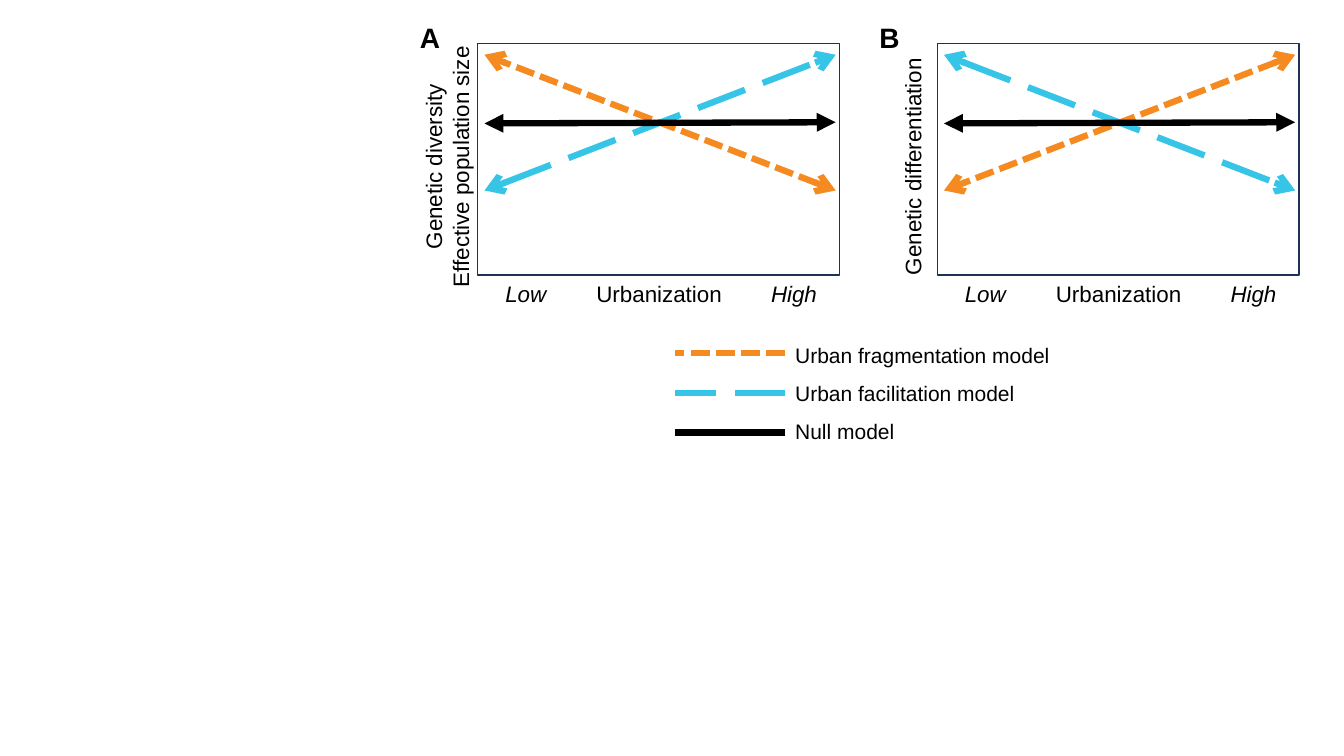
from dataclasses import dataclass

from pptx import Presentation
from pptx.dml.color import RGBColor
from pptx.enum.dml import MSO_LINE
from pptx.enum.shapes import MSO_CONNECTOR, MSO_SHAPE
from pptx.enum.text import PP_ALIGN
from pptx.oxml.ns import qn
from pptx.util import Cm, Pt
from lxml.etree import SubElement


@dataclass(frozen=True)
class Theme:
    font: str = "Arial"
    text: str = "000000"
    frame: str = "1E3256"
    letter_size: float = 20
    label_size: float = 16
    legend_size: float = 15
    frame_width: float = 1
    model_width: float = 4.5


THEME = Theme()

# name: (label, colour, dash, arrowhead), in drawing order
MODELS = {
    "facilitation": ("Urban facilitation model", "37C5E7", MSO_LINE.LONG_DASH, "arrow"),
    "fragmentation": ("Urban fragmentation model", "F48A20", MSO_LINE.SQUARE_DOT, "arrow"),
    "null": ("Null model", "000000", None, "triangle"),
}
LEGEND_ORDER = ["fragmentation", "facilitation", "null"]
AXIS_WORDS = [("Low", True), ("Urbanization", False), ("High", True)]

# Lengths in cm; each line runs between (x, y) offsets from the frame corner
LEFT, RIGHT = 0.17, 9.02
HIGH, MIDDLE, LOW = 0.29, 1.99, 3.71
PANELS = [
    {
        "letter": "A",
        "left": 12.04,
        "title": ["Genetic diversity", "Effective population size"],
        "title_centre": 11.27,
        "title_size": (7.59, 1.63),
        "lines": {
            "facilitation": ((LEFT, LOW), (RIGHT, HIGH)),
            "fragmentation": ((RIGHT, LOW), (LEFT, HIGH)),
            "null": ((RIGHT, MIDDLE), (LEFT, MIDDLE + 0.03)),
        },
    },
    {
        "letter": "B",
        "left": 23.62,
        "title": ["Genetic differentiation"],
        "title_centre": 23.0,
        "title_size": (8.76, 0.94),
        "lines": {
            "facilitation": ((LEFT, HIGH), (RIGHT, LOW)),
            "fragmentation": ((RIGHT, HIGH), (LEFT, LOW)),
            "null": ((RIGHT, MIDDLE), (LEFT, MIDDLE + 0.03)),
        },
    },
]
FRAME_TOP, FRAME_WIDTH, FRAME_HEIGHT = 1.09, 9.12, 5.84
TITLE_MIDDLE = 4.0
AXIS_SHIFT, AXIS_WIDTH, AXIS_HEIGHT = 0.1, 9.04, 0.94
AXIS_STOPS = [0.86, 4.22, 7.62]
LETTER_SHIFT, LETTER_TOP, LETTER_WIDTH, LETTER_HEIGHT = -1.93, 0.38, 1.45, 1.12
KEY_LEFT, KEY_RIGHT, KEY_TOP, KEY_STEP = 17.0, 19.79, 8.9, 1.0
LEGEND_TOP, LEGEND_WIDTH, LEGEND_HEIGHT = 8.2, 7.44, 3.02


def style_font(font, size, bold=False, italic=False):
    font.name = THEME.font
    font.size = Pt(size)
    font.bold = bold
    font.italic = italic
    font.color.rgb = RGBColor.from_string(THEME.text)


def add_text(slide, box, lines, size, align=PP_ALIGN.CENTER, bold=False, spacing=None):
    shape = slide.shapes.add_textbox(*map(Cm, box))
    frame = shape.text_frame
    frame.word_wrap = True
    frame.text = "\n".join(lines)
    for paragraph in frame.paragraphs:
        paragraph.alignment = align
        if spacing:
            paragraph.line_spacing = spacing
        for run in paragraph.runs:
            style_font(run.font, size, bold)
    return shape


def add_model_line(slide, name, start, end, arrows=False):
    _, colour, dash, arrowhead = MODELS[name]
    connector = slide.shapes.add_connector(
        MSO_CONNECTOR.STRAIGHT, *map(Cm, (*start, *end)))
    connector.line.color.rgb = RGBColor.from_string(colour)
    connector.line.width = Pt(THEME.model_width)
    if dash:
        connector.line.dash_style = dash
    if arrows:
        outline = connector.line._get_or_add_ln()
        for tag in ("a:headEnd", "a:tailEnd"):
            SubElement(outline, qn(tag)).set("type", arrowhead)
    SubElement(connector._element.spPr, qn("a:effectLst"))


def add_axis_words(slide, left, top):
    """Write the axis words in one line, each centred on its own tab stop."""
    box = slide.shapes.add_textbox(*map(Cm, (left, top, AXIS_WIDTH, AXIS_HEIGHT)))
    box.text_frame.word_wrap = True
    paragraph = box.text_frame.paragraphs[0]
    stops = SubElement(paragraph._p.get_or_add_pPr(), qn("a:tabLst"))
    for stop in AXIS_STOPS:
        tab = SubElement(stops, qn("a:tab"))
        tab.set("pos", str(int(Cm(stop))))
        tab.set("algn", "ctr")
    for word, italic in AXIS_WORDS:
        run = paragraph.add_run()
        run.text = "\t" + word
        style_font(run.font, THEME.label_size, italic=italic)


def add_panel(slide, panel):
    left = panel["left"]
    frame = slide.shapes.add_shape(
        MSO_SHAPE.RECTANGLE, *map(Cm, (left, FRAME_TOP, FRAME_WIDTH, FRAME_HEIGHT)))
    frame.shadow.inherit = False
    frame.fill.background()
    frame.line.color.rgb = RGBColor.from_string(THEME.frame)
    frame.line.width = Pt(THEME.frame_width)

    for name in MODELS:
        start, end = [(left + x, FRAME_TOP + y) for x, y in panel["lines"][name]]
        add_model_line(slide, name, start, end, arrows=True)

    add_axis_words(slide, left + AXIS_SHIFT, FRAME_TOP + FRAME_HEIGHT)
    width, height = panel["title_size"]
    title_box = (panel["title_centre"] - width / 2, TITLE_MIDDLE - height / 2 + 0.2,
                 width, height)
    title = add_text(slide, title_box, panel["title"], THEME.label_size)
    title.rotation = 270
    letter_box = (left + LETTER_SHIFT, LETTER_TOP, LETTER_WIDTH, LETTER_HEIGHT)
    add_text(slide, letter_box, [panel["letter"]], THEME.letter_size, bold=True)


def add_legend(slide):
    for row, name in enumerate(LEGEND_ORDER):
        y = KEY_TOP + row * KEY_STEP
        add_model_line(slide, name, (KEY_RIGHT, y), (KEY_LEFT, y))
    add_text(slide, (KEY_RIGHT, LEGEND_TOP, LEGEND_WIDTH, LEGEND_HEIGHT),
             [MODELS[name][0] for name in LEGEND_ORDER],
             THEME.legend_size, PP_ALIGN.LEFT, spacing=1.5)


def main():
    presentation = Presentation()
    presentation.slide_width, presentation.slide_height = Cm(33.87), Cm(19.05)
    slide = presentation.slides.add_slide(presentation.slide_layouts[6])
    add_legend(slide)
    for panel in PANELS:
        add_panel(slide, panel)
    presentation.save("out.pptx")


if __name__ == "__main__":
    main()
